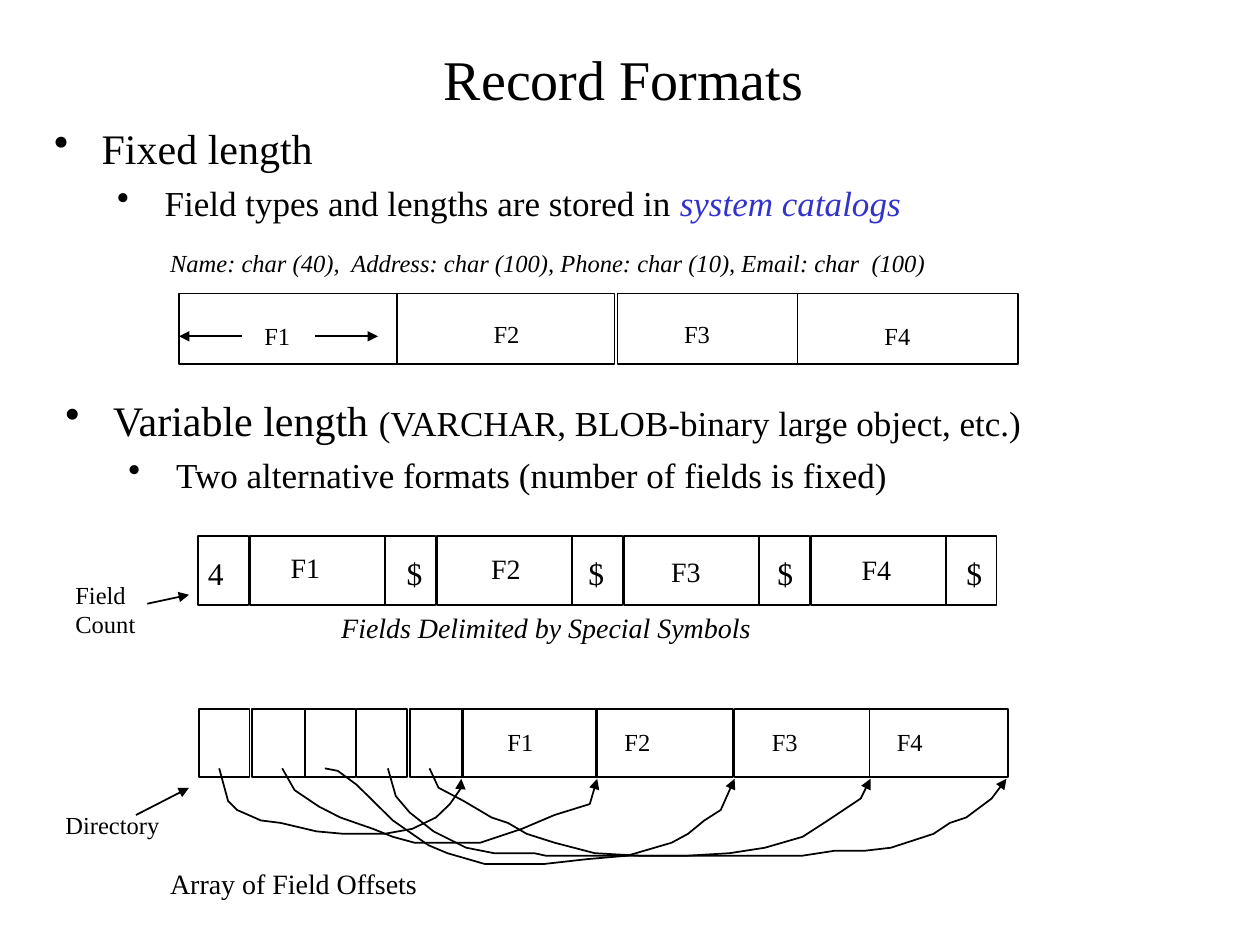
"""Build the Record Formats slide with its fixed and variable length layouts."""
from lxml.etree import SubElement
from pptx import Presentation
from pptx.dml.color import RGBColor
from pptx.enum.shapes import MSO_CONNECTOR, MSO_SHAPE
from pptx.enum.text import MSO_ANCHOR, PP_ALIGN
from pptx.oxml.ns import qn
from pptx.util import Cm, Pt

BLACK = RGBColor(0x00, 0x00, 0x00)
BLUE = RGBColor(0x33, 0x33, 0xCC)
FONT = "Times New Roman"

FIXED_CELLS = [(3.61, 4.39), (8, 4.39), (12.45, 3.63), (16.08, 4.45)]
OFFSET_CELLS = [
    (4.01, 1.02), (5.08, 1.07), (6.15, 1.02), (7.19, 1.02), (8.26, 1.07),
    (9.32, 2.72), (12.01, 2.77), (14.81, 2.72), (17.53, 2.79),
]
FIXED_LABELS = [(5.08, 6.35), (9.7, 6.3), (13.54, 6.3), (17.58, 6.35)]
DELIMITED_LABELS = [(5.61, 10.97), (9.65, 11), (13.28, 11.05), (17.12, 11.02)]
SYMBOLS = [("4", 3.94), ("$", 7.95), ("$", 11.61), ("$", 15.42), ("$", 19.23)]
ARROWS = [
    (4.88, 6.78, 3.61, 6.78), (6.35, 6.78, 7.62, 6.78),
    (2.97, 12.17, 3.81, 11.99), (2.74, 16.43, 3.81, 15.88),
]
OFFSET_CURVES = [
    [(4.42, 15.49), (4.6, 16.15), (4.78, 16.33), (5.26, 16.54), (5.66, 16.59),
     (6.38, 16.76), (6.93, 16.81), (7.75, 16.81), (8.31, 16.71), (8.79, 16.48),
     (9.07, 16.21), (9.3, 15.88), (9.3, 15.7)],
    [(5.69, 15.49), (5.94, 15.93), (6.43, 16.26), (6.86, 16.48), (7.52, 16.71),
     (7.92, 16.87), (8.36, 16.99), (9.68, 16.99), (10.52, 16.71), (11.18, 16.43),
     (11.89, 16.21), (12.04, 15.7)],
    [(6.55, 15.49), (6.81, 15.54), (7.19, 15.82), (7.92, 16.54), (8.64, 17.04),
     (9.02, 17.2), (9.78, 17.42), (10.95, 17.42), (11.84, 17.32), (12.65, 17.25),
     (13.54, 16.99), (13.87, 16.81), (14.2, 16.54), (14.53, 16.33), (14.81, 15.7)],
    [(7.82, 15.49), (7.98, 16.05), (8.26, 16.38), (8.74, 16.76), (9.4, 17.09),
     (9.96, 17.2), (10.77, 17.2), (11, 17.25), (13.87, 17.25), (14.71, 17.2),
     (15.42, 17.09), (16.18, 16.87), (16.69, 16.54), (17.35, 16.1), (17.55, 15.7)],
    [(8.66, 15.49), (8.84, 15.88), (9.35, 16.15), (9.91, 16.48), (10.24, 16.59),
     (10.62, 16.81), (11.18, 16.99), (11.99, 17.2), (12.88, 17.25), (16.18, 17.25),
     (16.84, 17.15), (17.45, 17.15), (17.96, 17.09), (18.82, 16.81), (19.15, 16.59),
     (19.48, 16.48), (19.99, 16.1), (20.29, 15.7)],
]


def format_run(r, size, color=BLACK, italic=False):
    r.font.name = FONT
    r.font.size = Pt(size)
    r.font.color.rgb = color
    r.font.italic = italic


def add_label(s, text, left, top, width, height, size, italic=False, wrap=False):
    sp = s.shapes.add_textbox(Cm(left), Cm(top), Cm(width), Cm(height))
    tf = sp.text_frame
    tf.text = text
    tf.word_wrap = wrap
    for p in tf.paragraphs:
        for r in p.runs:
            format_run(r, size, italic=italic)
    return tf


def add_title(s, text):
    tf = add_label(s, text, 1.78, 0.84, 21.59, 1.47, 32, wrap=True)
    tf.vertical_anchor = MSO_ANCHOR.MIDDLE
    tf.paragraphs[0].alignment = PP_ALIGN.CENTER


def add_bullets(s, left, top, items):
    tf = s.shapes.add_textbox(Cm(left), Cm(top), Cm(23.29), Cm(2.54)).text_frame
    tf.word_wrap = True
    for level, runs in enumerate(items):
        p = tf.add_paragraph() if level else tf.paragraphs[0]
        p.level = level
        if level:
            p.space_before = Pt(5)
        pPr = p._p.get_or_add_pPr()
        pPr.set("marL", str(Cm(0.96 + 1.27 * level)))
        pPr.set("indent", str(-Cm(0.96)))
        SubElement(pPr, qn("a:buChar")).set("char", "•")
        for text, *style in runs:
            r = p.add_run()
            r.text = text
            format_run(r, *style)


def add_cells(s, top, height, cells):
    for left, width in cells:
        sp = s.shapes.add_shape(
            MSO_SHAPE.RECTANGLE, Cm(left), Cm(top), Cm(width), Cm(height))
        sp.shadow.inherit = False
        sp.fill.background()
        sp.line.color.rgb = BLACK
        sp.line.width = Pt(1)


def style_arrow(sp):
    sp.line.color.rgb = BLACK
    sp.line.width = Pt(1)
    ln = sp.element.spPr.find(qn("a:ln"))
    SubElement(ln, qn("a:tailEnd")).set("type", "triangle")


def add_arrow(s, *ends):
    sp = s.shapes.add_connector(MSO_CONNECTOR.STRAIGHT, *map(Cm, ends))
    style_arrow(sp)
    SubElement(sp.element.spPr, qn("a:effectLst"))


def add_curve(s, points):
    start, *rest = [(Cm(x), Cm(y)) for x, y in points]
    builder = s.shapes.build_freeform(*start)
    builder.add_line_segments(rest, close=False)
    sp = builder.convert_to_shape()
    sp.shadow.inherit = False
    sp.fill.background()
    style_arrow(sp)


def add_field_labels(s, places, width, height, size):
    for number, (left, top) in enumerate(places, 1):
        add_label(s, f"F{number}", left, top, width, height, size)


def add_tabbed_fields(s):
    tf = add_label(s, "F1\tF2\tF3\tF4", 9.98, 14.53, 9.73, 0.84, 14, wrap=True)
    tabs = SubElement(tf.paragraphs[0]._p.get_or_add_pPr(), qn("a:tabLst"))
    for position in (2.36, 5.33, 7.85):
        tab = SubElement(tabs, qn("a:tab"))
        tab.set("pos", str(Cm(position)))
        tab.set("algn", "l")


def main():
    prs = Presentation()
    prs.slide_width, prs.slide_height = Cm(25.4), Cm(19.05)
    s = prs.slides.add_slide(prs.slide_layouts[6])

    add_title(s, "Record Formats")
    add_bullets(s, 0.84, 2.34, [
        [("Fixed length", 24)],
        [("Field types and lengths are stored in ", 20),
         ("system catalogs", 20, BLUE, True)],
    ])
    add_cells(s, 5.92, 1.42, FIXED_CELLS)
    add_field_labels(s, FIXED_LABELS, 1.04, 0.84, 14)
    add_label(
        s, "Name: char (40),  Address: char (100), Phone: char (10), Email: char  (100)",
        3.18, 4.88, 18.42, 0.86, 14, italic=True, wrap=True)

    add_bullets(s, 1.07, 7.82, [
        [("Variable length ", 24), ("(VARCHAR, BLOB-binary large object, etc.)", 20)],
        [("Two alternative formats (number of fields is fixed)", 20)],
    ])
    marker_lefts = [3.99 + 3.77 * i for i in range(5)]
    add_cells(s, 10.8, 1.4, [(left, 1.02) for left in marker_lefts])
    add_cells(s, 10.8, 1.4, [(left + 1.05, 2.72) for left in marker_lefts[:-1]])
    for text, left in SYMBOLS:
        add_label(s, text, left, 11.05, 0.84, 1.02, 18)
    add_field_labels(s, DELIMITED_LABELS, 1.24, 0.94, 16)
    add_label(s, "Field\nCount", 1.27, 11.56, 1.73, 1.45, 14)
    add_label(s, "Fields Delimited by Special Symbols",
              6.63, 12.19, 8.89, 0.94, 16, italic=True)

    add_tabbed_fields(s)
    add_cells(s, 14.3, 1.37, OFFSET_CELLS)
    for points in OFFSET_CURVES:
        add_curve(s, points)
    add_label(s, "Array of Field Offsets", 3.18, 17.35, 5.56, 0.94, 16)
    add_label(s, "Directory", 1.07, 16.21, 2.41, 0.84, 14)
    for ends in ARROWS:
        add_arrow(s, *ends)

    prs.save("out.pptx")


if __name__ == "__main__":
    main()
